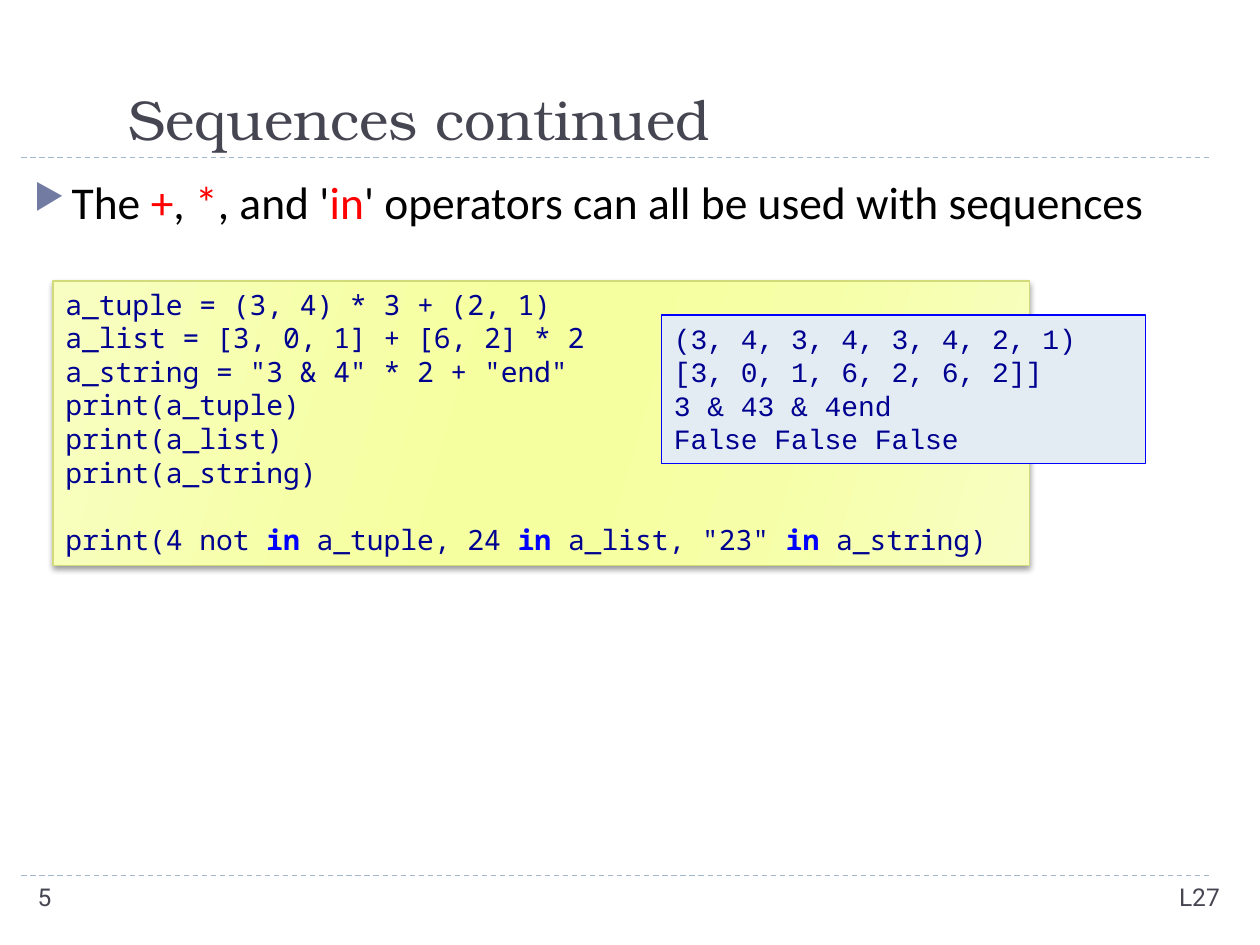
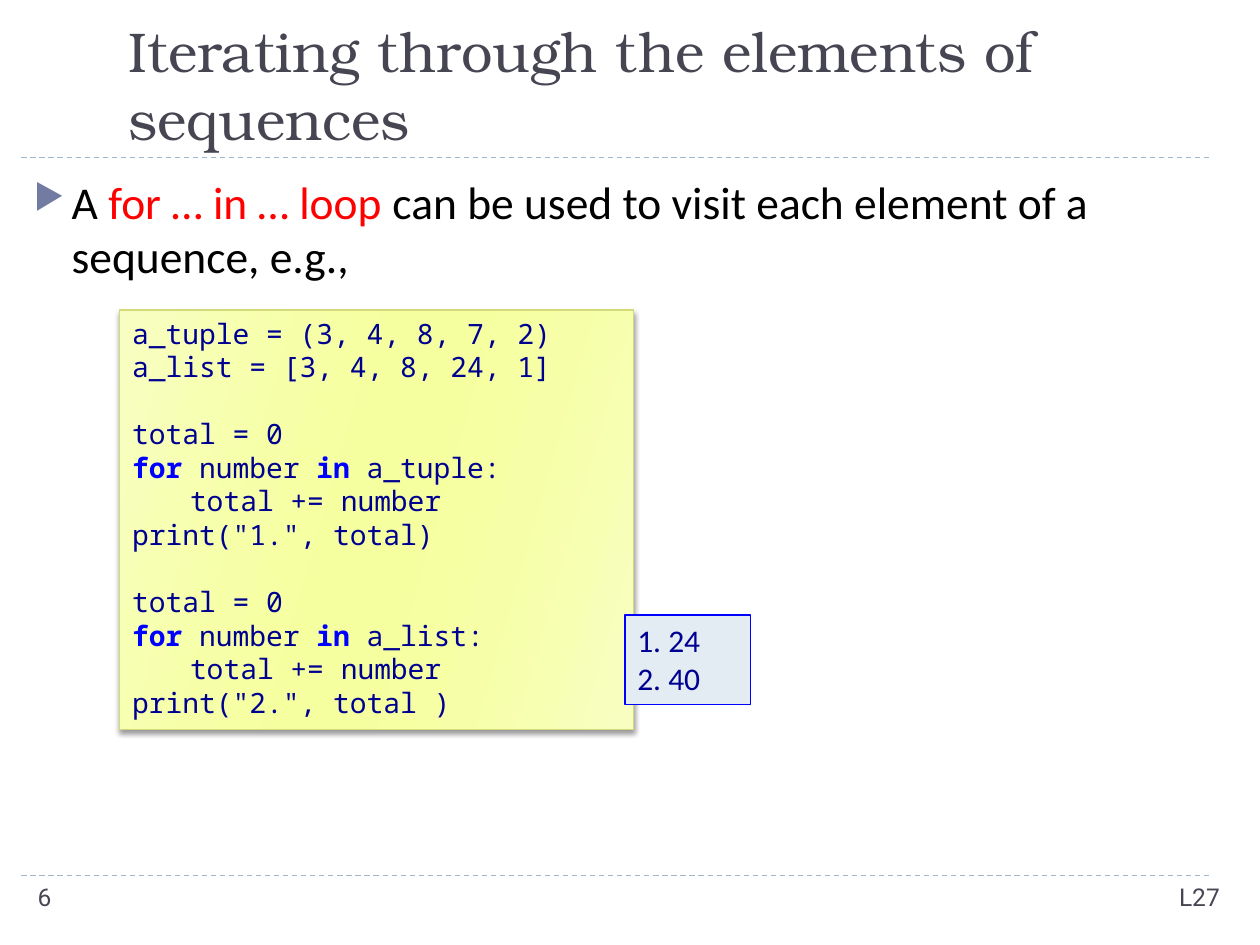
"""Build two lecture slides about Python sequences."""
from lxml import etree
from pptx import Presentation
from pptx import util as u
from pptx.dml.color import RGBColor
from pptx.enum import dml, shapes, text
from pptx.oxml import ns

COLOURS = {
    "title": "464653", "body": "000000", "accent": "FF0000", "bullet": "727CA3",
    "rule": "9FB8CD", "code": "000090", "keyword": "0000FF",
    "code_line": "D2DA7A", "output": "E3EBF3", "output_line": "0000FF",
}
CODE_GRADIENT = [(0, "F8FEC2"), (30, "F6FFA7"), (45, "F6FF9F"),
                 (55, "F6FF9F"), (73, "F6FFA7"), (100, "F8FEC2")]
MARK = "|"
LECTURE = "L27"
FIRST_NUMBER = 5
RULE_HEIGHTS = (1.25, 6.95)
CODE_LINE_POINTS = 19.2
CODE_INDENT = 0.46

SLIDES = [
    {
        "title": "Sequences continued",
        "body": "The |+|, |*|, and '|in|' operators can all be used with sequences",
        "code_at": (0.42, 2.23, 7.75, 2.26),
        "code": [
            ["a_tuple = (3, 4) * 3 + (2, 1)",
             "a_list = [3, 0, 1] + [6, 2] * 2",
             'a_string = "3 & 4" * 2 + "end"',
             "print(a_tuple)",
             "print(a_list)",
             "print(a_string)"],
            ['print(4 not |in |a_tuple, 24 |in |a_list, "23" |in |a_string)'],
        ],
        "output_at": (5.25, 2.5, 3.84, 1.18),
        "output_font": ("Courier New", 16),
        "output": ["(3, 4, 3, 4, 3, 4, 2, 1)", "[3, 0, 1, 6, 2, 6, 2]]",
                   "3 & 43 & 4end", "False False False"],
    },
    {
        "title": "Iterating through the elements of sequences",
        "body": "A |for … in … loop |can be used to visit each element of a sequence, e.g.,",
        "code_at": (0.95, 2.46, 4.08, 3.33),
        "code": [
            ["a_tuple = (3, 4, 8, 7, 2)",
             "a_list = [3, 4, 8, 24, 1]"],
            ["total = 0",
             "|for |number |in |a_tuple:",
             "\ttotal += number",
             'print("1.", total)'],
            ["total = 0",
             "|for |number |in |a_list:",
             "\ttotal += number",
             'print("2.", total )'],
        ],
        "output_at": (4.96, 4.88, 1, 0.71),
        "output_font": ("Calibri", 18),
        "output": ["1. 24", "2. 40"],
    },
]


def colour(name):
    return RGBColor.from_string(COLOURS[name])


def add_xml(parent, tag, **attributes):
    return etree.SubElement(parent, ns.qn(tag), attributes)


def write(paragraph, line, font, size, plain, marked=None, bold=False):
    """Write a line whose odd pieces between marks take the marked colour."""
    for index, piece in enumerate(line.split(MARK)):
        if piece:
            run = paragraph.add_run()
            run.text = piece
            run.font.name = font
            run.font.size = u.Pt(size)
            run.font.bold = bold and index % 2 == 1
            run.font.color.rgb = colour(marked if index % 2 else plain)


def next_paragraph(frame, index):
    return frame.add_paragraph() if index else frame.paragraphs[0]


def add_text(slide, place, line, *style, anchor=text.MSO_ANCHOR.TOP):
    frame = slide.shapes.add_textbox(*map(u.Inches, place)).text_frame
    frame.word_wrap = True
    frame.vertical_anchor = anchor
    write(frame.paragraphs[0], line, *style)
    return frame.paragraphs[0]


def add_box(slide, place, line_colour):
    box = slide.shapes.add_shape(shapes.MSO_SHAPE.RECTANGLE, *map(u.Inches, place))
    box.shadow.inherit = False
    box.line.color.rgb = colour(line_colour)
    box.line.width = u.Pt(0.75)
    box.text_frame.word_wrap = True
    box.text_frame.vertical_anchor = text.MSO_ANCHOR.TOP
    return box


def add_frame(slide, number):
    for height in RULE_HEIGHTS:
        rule = slide.shapes.add_connector(
            shapes.MSO_CONNECTOR.STRAIGHT,
            *map(u.Inches, (0.17, height, 9.62, height)))
        rule.line.color.rgb = colour("rule")
        rule.line.width = u.Pt(0.75)
        rule.line.dash_style = dml.MSO_LINE.DASH
        add_xml(rule._element.spPr, "a:effectLst")
    footer_style = ("Roboto", 14, "title")
    lecture = add_text(slide, (7.28, 6.95, 2.5, 0.4), LECTURE, *footer_style)
    lecture.alignment = text.PP_ALIGN.RIGHT
    add_text(slide, (0.2, 6.95, 2.17, 0.4), str(number), *footer_style)


def add_body(slide, line):
    paragraph = add_text(slide, (0.17, 1.33, 9.58, 5.58), line,
                         "Calibri", 26, "body", "accent")
    paragraph.space_before = u.Pt(6)
    properties = paragraph._p.get_or_add_pPr()
    properties.set("marL", str(u.Inches(0.3)))
    properties.set("indent", str(u.Inches(-0.3)))
    add_xml(add_xml(properties, "a:buClr"), "a:srgbClr", val=COLOURS["bullet"])
    add_xml(properties, "a:buSzPct", val="76000")
    add_xml(properties, "a:buChar", char="▶")


def style_code_box(box):
    box.fill.gradient()
    box.fill.gradient_angle = 360 - 16
    properties = box._element.spPr
    stops = properties.find(".//" + ns.qn("a:gsLst"))
    for stop in list(stops):
        stops.remove(stop)
    for position, value in CODE_GRADIENT:
        stop = add_xml(stops, "a:gs", pos=str(position * 1000))
        add_xml(stop, "a:srgbClr", val=value)
    shadow = add_xml(properties.find(ns.qn("a:effectLst")), "a:outerShdw",
                     blurRad=str(u.Pt(3)), dist=str(u.Pt(2)),
                     dir=str(90 * 60000), rotWithShape="0")
    add_xml(add_xml(shadow, "a:srgbClr", val="000000"), "a:alpha", val="40000")


def add_code(slide, place, groups):
    box = add_box(slide, place, "code_line")
    style_code_box(box)
    lines = [(line, number > 0 and row == 0)
             for number, group in enumerate(groups)
             for row, line in enumerate(group)]
    for index, (line, starts_group) in enumerate(lines):
        paragraph = next_paragraph(box.text_frame, index)
        paragraph.alignment = text.PP_ALIGN.LEFT
        if starts_group:
            paragraph.space_before = u.Pt(CODE_LINE_POINTS)
        if line.startswith("\t"):
            paragraph._p.get_or_add_pPr().set("marL", str(u.Inches(CODE_INDENT)))
        write(paragraph, line.strip("\t"), "Noto Sans Mono", 16,
              "code", "keyword", True)


def add_output(slide, place, lines, font):
    box = add_box(slide, place, "output_line")
    box.fill.solid()
    box.fill.fore_color.rgb = colour("output")
    for index, line in enumerate(lines):
        paragraph = next_paragraph(box.text_frame, index)
        paragraph.alignment = text.PP_ALIGN.LEFT
        write(paragraph, line, *font, "code")


def main():
    presentation = Presentation()
    presentation.slide_width = u.Inches(10)
    presentation.slide_height = u.Inches(7.5)
    for number, content in enumerate(SLIDES, FIRST_NUMBER):
        slide = presentation.slides.add_slide(presentation.slide_layouts[6])
        add_frame(slide, number)
        add_text(slide, (0.92, 0.17, 8.81, 1.08), content["title"],
                 "TeX Gyre Bonum", 32, "title", anchor=text.MSO_ANCHOR.BOTTOM)
        add_body(slide, content["body"])
        add_code(slide, content["code_at"], content["code"])
        add_output(slide, content["output_at"], content["output"],
                   content["output_font"])
    presentation.save("out.pptx")


if __name__ == "__main__":
    main()
